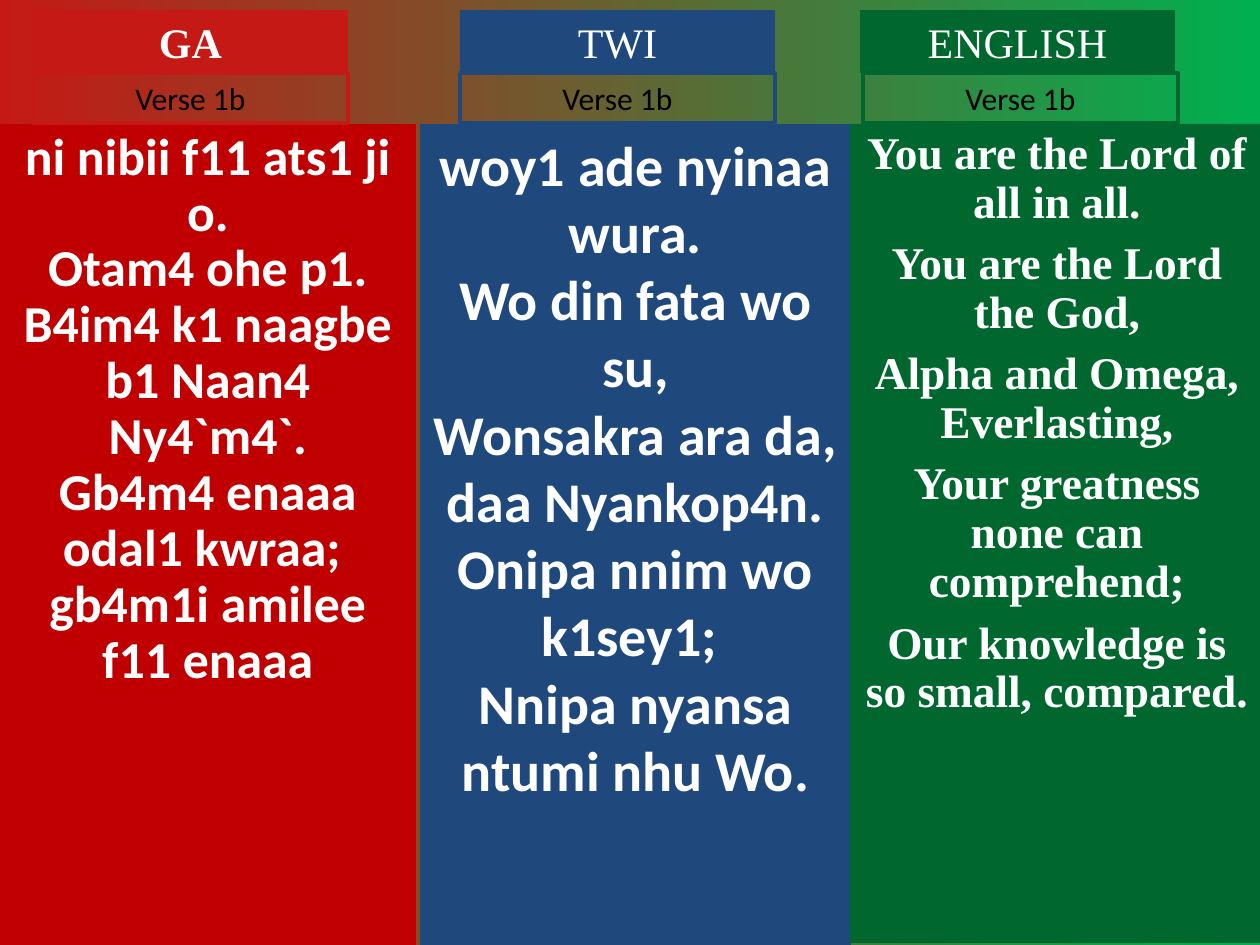
import lxml.etree
import pptx
import pptx.dml.color
import pptx.enum.text
import pptx.oxml.ns
import pptx.util

SCALE = 914400 / 126
HUES = {"red": "C51915", "deep": "C00000", "blue": "1F497D", "green": "00682F",
        "lime": "00B050", "white": "FFFFFF", "black": "000000"}
SANS, SERIF = "Calibri", "Times New Roman"
GA = ["ni nibii f11 ats1 ji o.", "Otam4 ohe p1.",
      "B4im4 k1 naagbe b1 Naan4 Ny4`m4`.",
      "Gb4m4 enaaa odal1 kwraa; ", "gb4m1i amilee f11 enaaa"]
TWI = ["woy1 ade nyinaa wura.", "Wo din fata wo su,",
       "Wonsakra ara da, daa Nyankop4n.",
       "Onipa nnim wo k1sey1; ", "Nnipa nyansa ntumi nhu Wo."]
ENGLISH = ["You are the Lord of all in all.", "You are the Lord the God,",
           "Alpha and Omega, Everlasting,",
           "Your greatness none can comprehend;",
           "Our knowledge is so small, compared."]


def px(num):
    """Turn px into EMU."""
    return pptx.util.Emu(round(num * SCALE))


def tint(name):
    """Look up a colour by name."""
    return pptx.dml.color.RGBColor.from_string(HUES[name])


def write(frame, lines, face, size, hue, bold, lead, gap):
    """Write centred lines, one paragraph each."""
    frame.word_wrap = True
    frame.auto_size = pptx.enum.text.MSO_AUTO_SIZE.NONE
    frame.vertical_anchor = pptx.enum.text.MSO_ANCHOR.TOP
    for num, line in enumerate(lines):
        para = frame.add_paragraph() if num else frame.paragraphs[0]
        props = para._p.get_or_add_pPr()
        props.set("marL", "0")
        props.set("indent", "0")
        lxml.etree.SubElement(props, pptx.oxml.ns.qn("a:buNone"))
        para.alignment = pptx.enum.text.PP_ALIGN.CENTER
        para.line_spacing = lead
        para.space_before = pptx.util.Pt(gap if num else 0)
        run = para.add_run()
        run.text = line
        font = run.font
        font.name, font.size, font.bold = face, pptx.util.Pt(size), bold
        font.color.rgb = tint(hue)


def panel(slide, box, lines, face, size, hue="white", fill=None, edge=None,
          bold=False, lead=1.0, gap=0, slot=None):
    """Place one text panel, in a placeholder if a slot is given."""
    spots = [px(num) for num in box]
    if slot is None:
        shape = slide.shapes.add_textbox(*spots)
    else:
        shape = slide.placeholders[slot]
        shape.left, shape.top, shape.width, shape.height = spots
    if fill:
        shape.fill.solid()
        shape.fill.fore_color.rgb = tint(fill)
    if edge:
        shape.line.color.rgb = tint(edge)
        shape.line.width = pptx.util.Pt(2.25)
    write(shape.text_frame, lines, face, size, hue, bold, lead, gap)


def column(slide, box, inset, shift, name, hue, fill, lines, slots, bold, style):
    """Place a language column: heading, verse label and lyrics."""
    left, top, width, height = box
    head, body = slots
    panel(slide, (left, top + 114, width, height - 114), lines,
          fill=fill, bold=True, slot=body, **style)
    panel(slide, (left + inset, top, 315, 63), [name], SERIF, 24,
          fill=hue, bold=bold, slot=head)
    panel(slide, (left + inset + shift, top + 63, 315, 50), ["Verse 1b"],
          SANS, 18, hue="black", edge=hue)


def backdrop(slide):
    """Fill the background from red to lime."""
    fill = slide.background.fill
    fill.gradient()
    fill.gradient_angle = 0
    for stop, hue, place in zip(fill.gradient_stops, ("red", "lime"), (0, 1)):
        stop.color.rgb = tint(hue)
        stop.position = place


def main():
    """Build the slide and save it."""
    deck = pptx.Presentation()
    deck.slide_width, deck.slide_height = px(1260), px(945)
    slide = deck.slides.add_slide(deck.slide_layouts.get_by_name("Comparison"))
    backdrop(slide)
    column(slide, (0, 10, 416, 935), 33, 0, "GA", "red", "deep", GA, (0, 2),
           True, {"face": SANS, "size": 29.6, "lead": 0.9})
    column(slide, (420, 10, 431, 935), 40, 0, "TWI", "blue", "blue", TWI, (1, 4),
           False, {"face": SANS, "size": 32})
    column(slide, (850, 10, 414, 933), 10, 3, "ENGLISH", "green", "green", ENGLISH,
           (3, None), False, {"face": SERIF, "size": 25.9, "lead": 0.9, "gap": 7})
    for slot in (10, 11, 12):
        for shape in list(slide.placeholders):
            if shape.placeholder_format.idx == slot:
                shape._element.getparent().remove(shape._element)
    deck.save("out.pptx")


if __name__ == "__main__":
    main()
